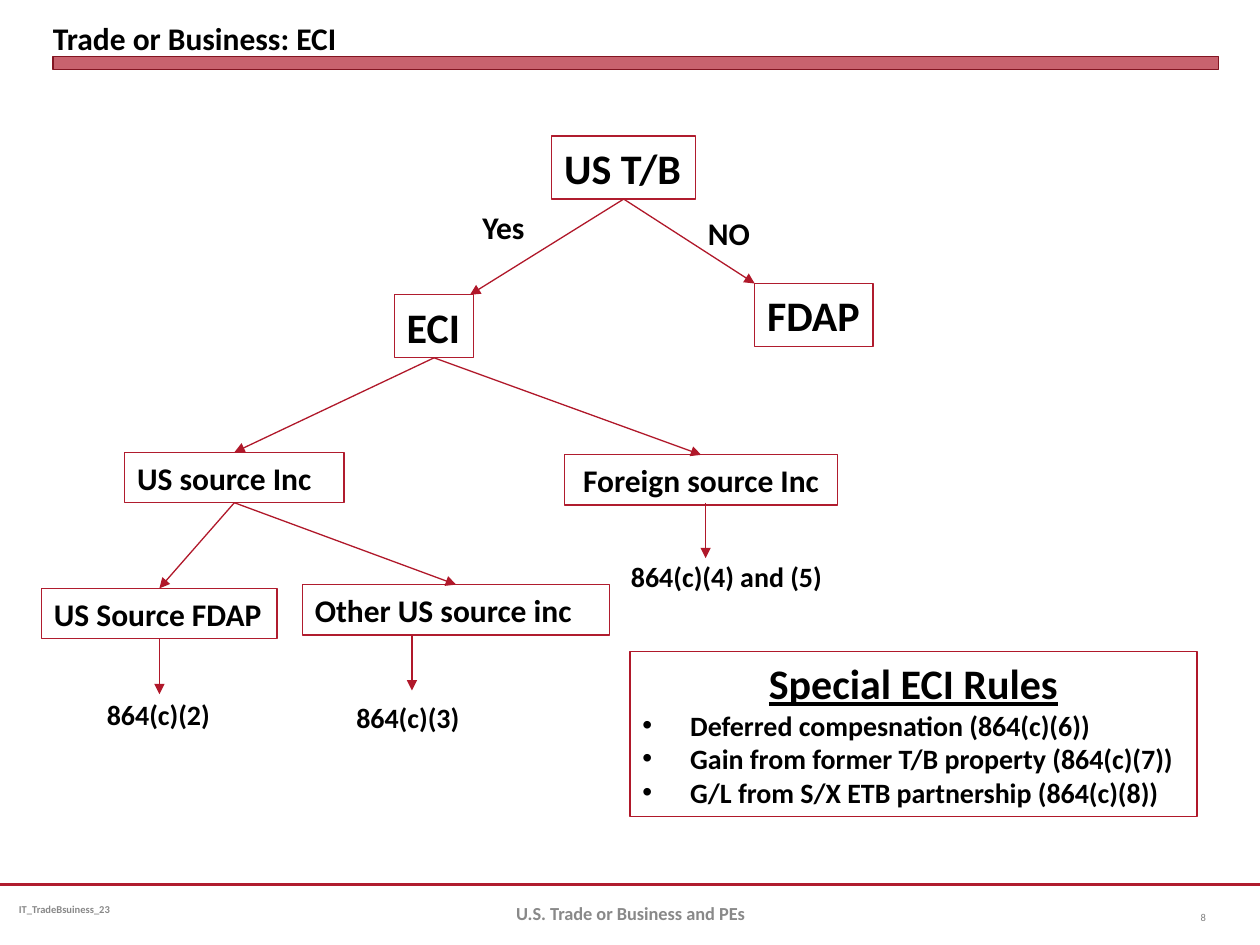
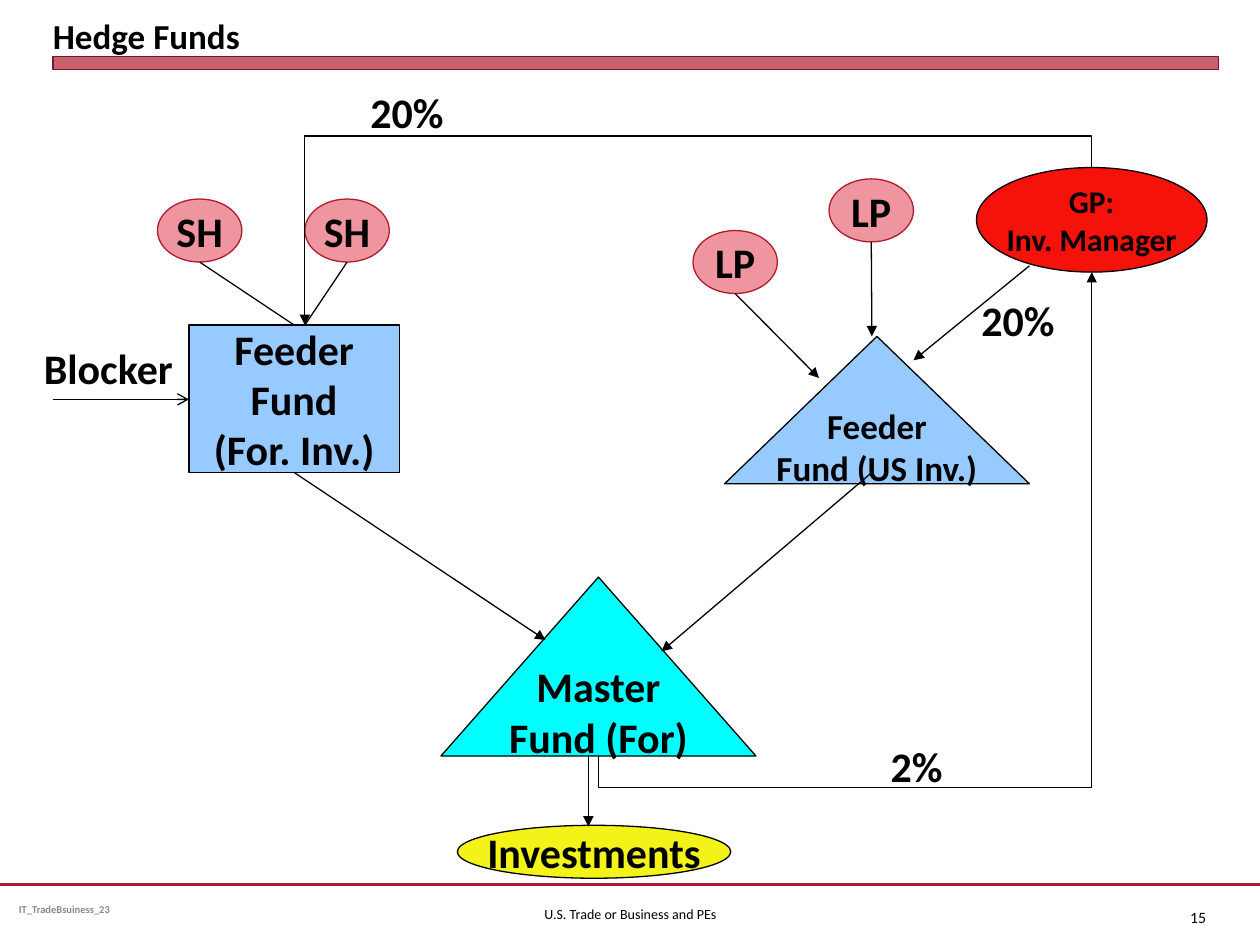
import dataclasses

import lxml.etree
import pptx
import pptx.dml.color
import pptx.enum.shapes
import pptx.enum.text
import pptx.oxml.ns
import pptx.util

Inches = pptx.util.Inches
KIND = pptx.enum.shapes.MSO_SHAPE
LINK = pptx.enum.shapes.MSO_CONNECTOR
ALIGN = pptx.enum.text.PP_ALIGN
ANCHOR = pptx.enum.text.MSO_ANCHOR
qn = pptx.oxml.ns.qn


@dataclasses.dataclass(frozen=True)
class Theme:
    font: str = "Calibri"
    ink: str = "000000"
    red: str = "B01C2E"
    arrow: str = "B0182A"
    edge: str = "821522"
    gray: str = "898989"
    pale: str = "808080"
    blue: str = "97CBFF"
    cyan: str = "00FFFF"
    pink: str = "EE95A0"
    hot: str = "F4120A"
    yellow: str = "F4F319"
    big: float = 24
    title: float = 20
    mid: float = 18
    small: float = 16
    tiny: float = 6
    thin: float = 0.75
    rule: float = 1.25


T = Theme()


def tint(code):
    return pptx.dml.color.RGBColor.from_string(code)


def child(parent, tag, **attrs):
    return lxml.etree.SubElement(parent, qn(tag), attrs)


def foot(box):
    """Middle of the bottom edge."""
    x, y, w, h = box
    return x + w / 2, y + h


def head(box):
    """Middle of the top edge."""
    x, y, w, h = box
    return x + w / 2, y


def write(para, text, size, color=T.ink, bold=True, line=False):
    run = para.add_run()
    run.text = text
    font = run.font
    font.name, font.size, font.bold = T.font, pptx.util.Pt(size), bold
    font.underline = line
    font.color.rgb = tint(color)


def fill_text(shape, lines, size, color=T.ink, bold=True, align=ALIGN.LEFT,
              anchor=ANCHOR.TOP, wrap=False, inset=None):
    frame = shape.text_frame
    frame.word_wrap, frame.vertical_anchor = wrap, anchor
    if inset is not None:
        frame.margin_left = frame.margin_right = Inches(inset)
        frame.margin_top = frame.margin_bottom = Inches(inset / 2)
    for i, text in enumerate(lines):
        para = frame.add_paragraph() if i else frame.paragraphs[0]
        para.alignment = align
        write(para, text, size, color, bold)
    return frame


class Panel:
    """A region of a slide; its parts are placed from its top left corner."""

    def __init__(self, slide, left, top):
        self.shapes = slide.shapes
        self.left, self.top = left, top

    def place(self, x, y):
        return Inches(self.left + x), Inches(self.top + y)

    def shape(self, box, kind=KIND.RECTANGLE, fill=None, line=T.red,
              width=T.thin):
        x, y, w, h = box
        shape = self.shapes.add_shape(kind, *self.place(x, y),
                                      Inches(w), Inches(h))
        shape.shadow.inherit = False
        if fill:
            shape.fill.solid()
            shape.fill.fore_color.rgb = tint(fill)
        else:
            shape.fill.background()
        shape.line.color.rgb = tint(line)
        shape.line.width = pptx.util.Pt(width)
        return shape

    def label(self, text, box, size, **style):
        x, y, w, h = box
        field = self.shapes.add_textbox(*self.place(x, y),
                                        Inches(w), Inches(h))
        fill_text(field, [text], size, **style)

    def line(self, start, end, color=T.ink, tip="triangle", width=T.thin,
             kind=LINK.STRAIGHT):
        link = self.shapes.add_connector(kind, *self.place(*start),
                                         *self.place(*end))
        link.line.color.rgb = tint(color)
        link.line.width = pptx.util.Pt(width)
        if tip:
            child(link.line._get_or_add_ln(), "a:tailEnd", type=tip)
        child(link._element.spPr, "a:effectLst")
        return link

    def elbow(self, start, end, over=0.25):
        """Arrow that first runs past its start by `over`, then turns back."""
        link = self.line(start, end, kind=LINK.ELBOW)
        (x1, y1), (x2, y2) = start, end
        w, h = abs(y2 - y1), abs(x2 - x1)
        link.left, link.top = self.place((x1 + x2 - w) / 2,
                                         (y1 + y2 - h) / 2)
        link.width, link.height = Inches(w), Inches(h)
        props = link._element.spPr
        frame = props.find(qn("a:xfrm"))
        frame.set("rot", str((90 if y2 < y1 else 270) * 60000))
        frame.set("flipH", "1")
        frame.set("flipV", "1")
        shape = props.find(qn("a:prstGeom"))
        guides = shape.find(qn("a:avLst"))
        if guides is None:
            guides = child(shape, "a:avLst")
        child(guides, "a:gd", name="adj1",
              fmla=f"val {round(-over / w * 100000)}")


def header(panel, title, size):
    panel.label(title, (0, 0, 9.25, 0.4), size, anchor=ANCHOR.BOTTOM,
                wrap=True, inset=0)
    bar = panel.shape((0, 0.4, 9.25, 0.1), fill=T.red, line=T.edge, width=0)
    color = bar._element.spPr.find(qn("a:solidFill"))[0]
    child(color, "a:alpha", val="69000")


def footer(panel, page, page_style, name_style):
    panel.line((0, 0), (10, 0), T.red, None, T.rule)
    mid = dict(anchor=ANCHOR.MIDDLE, wrap=True)
    panel.label("IT_TradeBsuiness_23", (0.08, 0, 2.58, 0.4), T.tiny,
                color=T.gray, inset=0.07, **mid)
    panel.label(page, (9.17, 0.06, 0.5, 0.4), bold=False,
                align=ALIGN.RIGHT, **mid, **page_style)
    panel.label("U.S. Trade or Business and PEs", (3.42, 0.03, 3.17, 0.4),
                align=ALIGN.CENTER, **mid, **name_style)


def tree(panel):
    """Decision tree from trade or business down to the code sections."""
    def node(text, box, size=T.mid, align=ALIGN.LEFT):
        fill_text(panel.shape(box), [text], size, align=align,
                  wrap=size == T.mid)
        return box

    root = node("US T/B", (4.13, 0.08, 1.14, 0.5), T.big)
    fdap = node("FDAP", (5.74, 1.25, 0.94, 0.5), T.big)
    eci = node("ECI", (2.88, 1.34, 0.63, 0.5), T.big)
    home = node("US source Inc", (0.74, 2.59, 1.74, 0.4))
    abroad = node("Foreign source Inc", (4.23, 2.61, 2.17, 0.4),
                  align=ALIGN.CENTER)
    passive = node("US Source FDAP", (0.08, 3.67, 1.87, 0.4))
    other = node("Other US source inc", (2.15, 3.64, 2.44, 0.4))

    for start, end in (
        (foot(root), (3.48, eci[1])),
        (foot(root), fdap[:2]),
        (foot(eci), head(home)),
        (foot(eci), head(abroad)),
        (foot(home), head(passive)),
        (foot(home), head(other)),
    ):
        panel.line(start, end, T.arrow)
    for x, y in (foot(passive), (3.02, 4.04), (5.35, 2.99)):
        panel.line((x, y), (x, y + 0.44), T.arrow)

    for text, box, size in (
        ("Yes", (3.48, 0.6, 0.54, 0.4), T.mid),
        ("NO", (5.27, 0.65, 0.54, 0.4), T.mid),
        ("864(c)(2)", (0.5, 4.49, 1.03, 0.37), T.small),
        ("864(c)(3)", (2.48, 4.51, 1.03, 0.37), T.small),
        ("864(c)(4) and (5)", (4.66, 3.39, 1.74, 0.37), T.small),
    ):
        panel.label(text, box, size)


def rules(panel):
    frame = panel.shape((0, 0, 4.5, 1.31), line=T.arrow).text_frame
    frame.word_wrap, frame.vertical_anchor = True, ANCHOR.TOP
    para = frame.paragraphs[0]
    para.alignment = ALIGN.CENTER
    write(para, "Special ECI Rules", T.big, line=True)
    for text in (
        "Deferred compesnation (864(c)(6))",
        "Gain from former T/B property (864(c)(7))",
        "G/L from S/X ETB partnership (864(c)(8))",
    ):
        para = frame.add_paragraph()
        para.alignment = ALIGN.LEFT
        props = para._p.get_or_add_pPr()
        props.set("marL", str(Inches(0.38)))
        props.set("indent", str(Inches(-0.38)))
        child(props, "a:buFont", typeface="Arial")
        child(props, "a:buChar", char="•")
        write(para, text, T.small)


def funds(panel):
    """Feeder funds, their owners, the master fund and the fee flows."""
    def node(lines, box, kind, fill, size=T.big, line=T.ink):
        fill_text(panel.shape(box, kind, fill, line), lines, size,
                  align=ALIGN.CENTER, anchor=ANCHOR.MIDDLE)
        return box

    def owner(text, x, y):
        return node([text], (x, y, 0.67, 0.5), KIND.OVAL, T.pink, line=T.red)

    node(["Feeder", "Fund (US Inv.)"], (5.5, 2.17, 2.42, 1.17),
         KIND.ISOSCELES_TRIANGLE, T.blue, T.title)
    block = node(["Feeder", "Fund", "(For. Inv.)"], (1.25, 2.08, 1.67, 1.17),
                 KIND.RECTANGLE, T.blue)
    main = node(["Master", "Fund (For)"], (3.25, 4.08, 2.5, 1.42),
                KIND.ISOSCELES_TRIANGLE, T.cyan)
    boss = node(["GP:", "Inv. Manager"], (7.5, 0.83, 1.83, 0.83),
                KIND.OVAL, T.hot, T.mid)
    node(["Investments"], (3.38, 6.05, 2.17, 0.42), KIND.OVAL, T.yellow)
    low, high = owner("LP", 5.25, 1.33), owner("LP", 6.33, 0.92)
    right, left = owner("SH", 2.17, 1.08), owner("SH", 1, 1.08)

    entry = (2.17, block[1])
    panel.line(foot(left), head(block), tip=None)
    panel.line(foot(right), entry, tip=None)
    for start, end in (
        (foot(low), (6.25, 2.5)),
        (foot(high), (6.67, 2.17)),
        ((7.92, 1.61), (7, 2.36)),
        (foot(block), (4.08, 4.58)),
        ((6.67, 3.25), (5, 4.67)),
        ((4.42, 5.5), (4.42, 6.06)),
    ):
        panel.line(start, end)
    panel.line((0.17, 2.67), (1.25, 2.67), tip="arrow")
    panel.elbow(foot(main), foot(boss))
    panel.elbow(head(boss), entry)

    for text, box in (
        ("2%", (6.72, 5.33, 0.61, 0.5)),
        ("20%", (2.59, 0.14, 0.78, 0.5)),
        ("20%", (7.44, 1.79, 0.78, 0.5)),
    ):
        panel.label(text, box, T.big)
    panel.label("Blocker", (0, 2.17, 1.97, 0.52), T.big, wrap=True)


def main():
    deck = pptx.Presentation()
    deck.slide_width, deck.slide_height = Inches(10), Inches(7.5)

    def start(title, size, page, page_style, name_style):
        slide = deck.slides.add_slide(deck.slide_layouts[6])
        header(Panel(slide, 0.42, 0.05), title, size)
        footer(Panel(slide, 0, 7.02), page, page_style, name_style)
        return slide

    slide = start("Trade or Business: ECI", T.mid, "8",
                  dict(size=T.tiny, color=T.pale),
                  dict(size=10.5, color=T.gray))
    tree(Panel(slide, 0.25, 1))
    rules(Panel(slide, 5, 5.17))

    slide = start("Hedge Funds", T.title, "15",
                  dict(size=9), dict(size=8, bold=False))
    funds(Panel(slide, 0.25, 0.5))

    deck.save("out.pptx")


if __name__ == "__main__":
    main()
